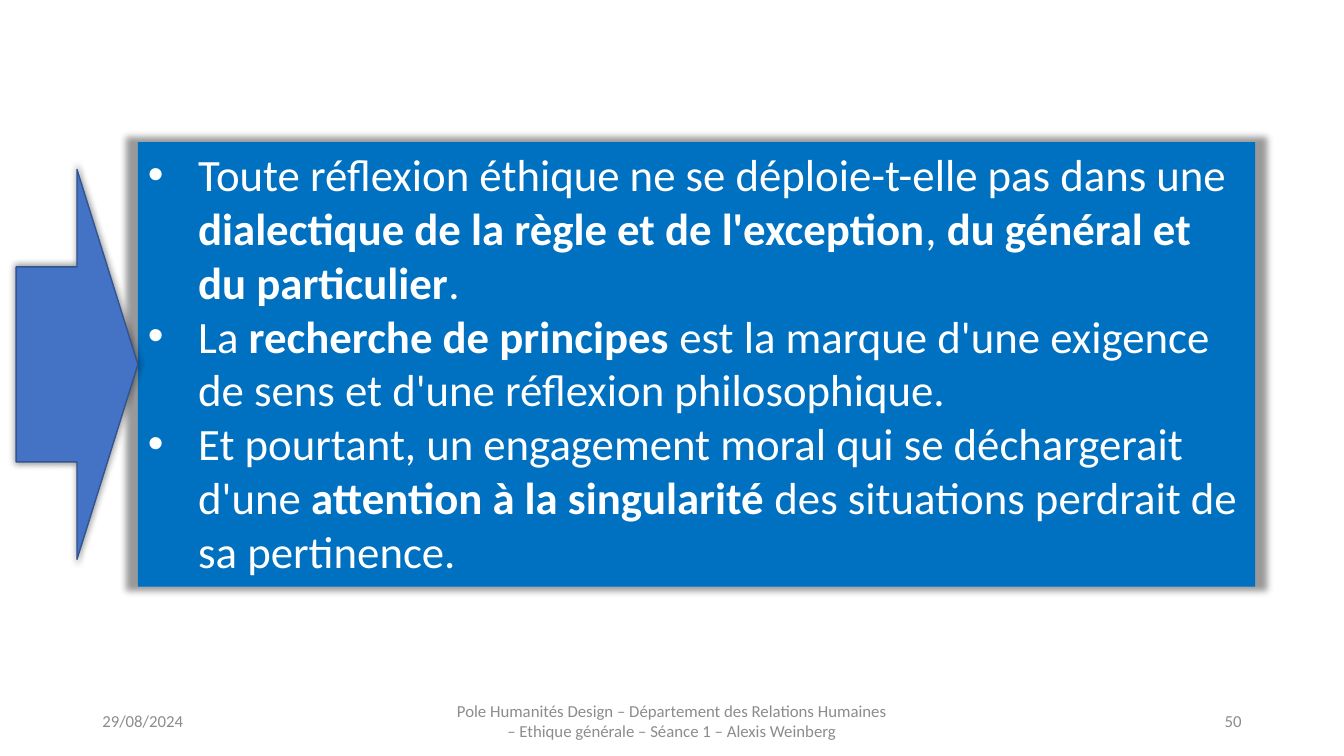
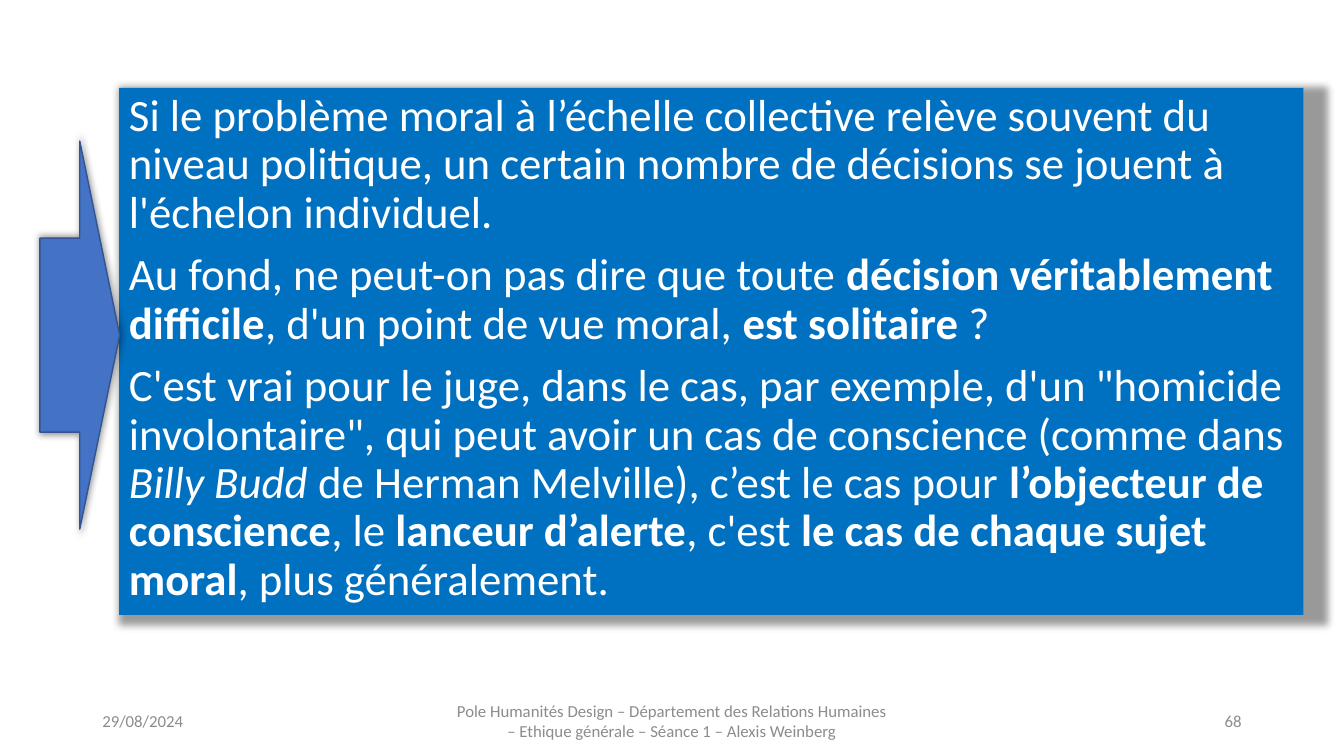
from lxml.etree import SubElement
from pptx import Presentation
from pptx.dml.color import RGBColor
from pptx.enum.shapes import MSO_SHAPE
from pptx.enum.text import MSO_ANCHOR, MSO_AUTO_SIZE, PP_ALIGN
from pptx.oxml.ns import qn
from pptx.util import Pt

PANEL_BLUE = RGBColor(0x00, 0x70, 0xC0)
ARROW_BLUE = RGBColor(0x44, 0x72, 0xC4)
ARROW_EDGE = RGBColor(0x32, 0x54, 0x91)
WHITE = RGBColor(0xFF, 0xFF, 0xFF)
FOOTER_GREY = RGBColor(0x8C, 0x8C, 0x8C)
FONT = "Calibri"

DATE = "29/08/2024"
COURSE = ("Pole Humanités Design – Département des Relations Humaines "
          "– Ethique générale – Séance 1 – Alexis Weinberg")
FOOTER_TOP, FOOTER_HEIGHT = 500.5, 28.75

# Each paragraph is a list of (text, style); style is "", "b" or "i"
DIALECTIC = [
    [("Toute réflexion éthique ne se déploie-t-elle pas dans une", ""),
     (" dialectique de la règle et de l'exception", "b"),
     (", ", ""),
     ("du général et du particulier", "b"),
     (".", "")],
    [("La ", ""),
     ("recherche de principes ", "b"),
     ("est la marque d'une exigence de sens et d'une réflexion "
      "philosophique.", "")],
    [("Et pourtant, un engagement moral qui se déchargerait d'une ", ""),
     ("attention à la singularité ", "b"),
     ("des situations perdrait de sa pertinence.", "")],
]
SOLITUDE = [
    [("Si le problème moral à l’échelle collective relève souvent du niveau "
      "politique, un certain nombre de décisions se jouent à l'échelon "
      "individuel.", "")],
    [("Au fond, ne peut-on pas dire que toute ", ""),
     ("décision véritablement difficile", "b"),
     (", d'un point de vue moral, ", ""),
     ("est solitaire ", "b"),
     ("?", "")],
    [("C'est vrai pour le juge, dans le cas, par exemple, d'un \"homicide "
      "involontaire\", qui peut avoir un cas de conscience (comme dans ", ""),
     ("Billy Budd ", "i"),
     ("de Herman Melville), c’est le cas pour ", ""),
     ("l’objecteur de conscience", "b"),
     (", le ", ""),
     ("lanceur d’alerte", "b"),
     (", c'est ", ""),
     ("le cas de chaque sujet moral", "b"),
     (", plus généralement.", "")],
]


def add_run(paragraph, text, size, color, style=""):
    run = paragraph.add_run()
    run.text = text
    font = run.font
    font.name, font.size = FONT, Pt(size)
    font.color.rgb = color
    font.bold, font.italic = style == "b", style == "i"


def add_bullet(paragraph, indent):
    properties = paragraph._p.get_or_add_pPr()
    properties.set("marL", str(Pt(indent)))
    properties.set("indent", str(-Pt(indent)))
    SubElement(properties, qn("a:buFont")).set("typeface", "Arial")
    SubElement(properties, qn("a:buChar")).set("char", "•")


def add_shadowed(slide, kind, box, fill, origin):
    """Filled shape with a soft shadow, 2 % larger, growing from origin."""
    shape = slide.shapes.add_shape(kind, *map(Pt, box))
    shape.fill.solid()
    shape.fill.fore_color.rgb = fill
    shape.shadow.inherit = False
    effects = shape._element.spPr.find(qn("a:effectLst"))
    shadow = SubElement(effects, qn("a:outerShdw"), blurRad=str(Pt(5)),
                        sx="102000", sy="102000", algn=origin, rotWithShape="0")
    black = SubElement(shadow, qn("a:srgbClr"), val="000000")
    SubElement(black, qn("a:alpha"), val="40000")
    return shape


def add_panel(slide, box, paragraphs, origin, bulleted, line_spacing, gap):
    panel = add_shadowed(slide, MSO_SHAPE.RECTANGLE, box, PANEL_BLUE, origin)
    panel.line.fill.background()
    frame = panel.text_frame
    frame.word_wrap = True
    frame.auto_size = MSO_AUTO_SIZE.SHAPE_TO_FIT_TEXT
    frame.vertical_anchor = MSO_ANCHOR.TOP
    for index, runs in enumerate(paragraphs):
        paragraph = frame.add_paragraph() if index else frame.paragraphs[0]
        paragraph.alignment = PP_ALIGN.LEFT
        paragraph.line_spacing = line_spacing
        paragraph.space_before = Pt(gap if index else 0)
        if bulleted:
            add_bullet(paragraph, 36)
        for text, style in runs:
            add_run(paragraph, text, 32, WHITE, style)


def add_arrow(slide, box):
    arrow = add_shadowed(slide, MSO_SHAPE.RIGHT_ARROW, box, ARROW_BLUE, "ctr")
    arrow.line.color.rgb = ARROW_EDGE
    arrow.line.width = Pt(1)


def add_footer(slide, number):
    parts = ((66, 216, DATE, PP_ALIGN.LEFT),
             (318, 324, COURSE, PP_ALIGN.CENTER),
             (678, 216, str(number), PP_ALIGN.RIGHT))
    for left, width, text, alignment in parts:
        area = slide.shapes.add_textbox(Pt(left), Pt(FOOTER_TOP),
                                        Pt(width), Pt(FOOTER_HEIGHT))
        frame = area.text_frame
        frame.word_wrap = True
        frame.vertical_anchor = MSO_ANCHOR.MIDDLE
        frame.paragraphs[0].alignment = alignment
        add_run(frame.paragraphs[0], text, 12, FOOTER_GREY)


def add_statement_slide(deck, number, panel_box, arrow_box, paragraphs,
                        origin, bulleted=False, line_spacing=1.0, gap=0):
    slide = deck.slides.add_slide(deck.slide_layouts[6])
    add_panel(slide, panel_box, paragraphs, origin, bulleted, line_spacing, gap)
    add_arrow(slide, arrow_box)
    add_footer(slide, number)


def main():
    deck = Presentation()
    deck.slide_width, deck.slide_height = Pt(960), Pt(540)
    add_statement_slide(deck, 50, (98.5, 101.5, 798, 317.5),
                        (11.5, 121, 87, 278.5), DIALECTIC, "ctr",
                        bulleted=True)
    add_statement_slide(deck, 68, (85, 62.75, 846, 376.5),
                        (28.5, 100.75, 57, 277.25), SOLITUDE, "tl",
                        line_spacing=0.9, gap=10)
    deck.save("out.pptx")


if __name__ == "__main__":
    main()
